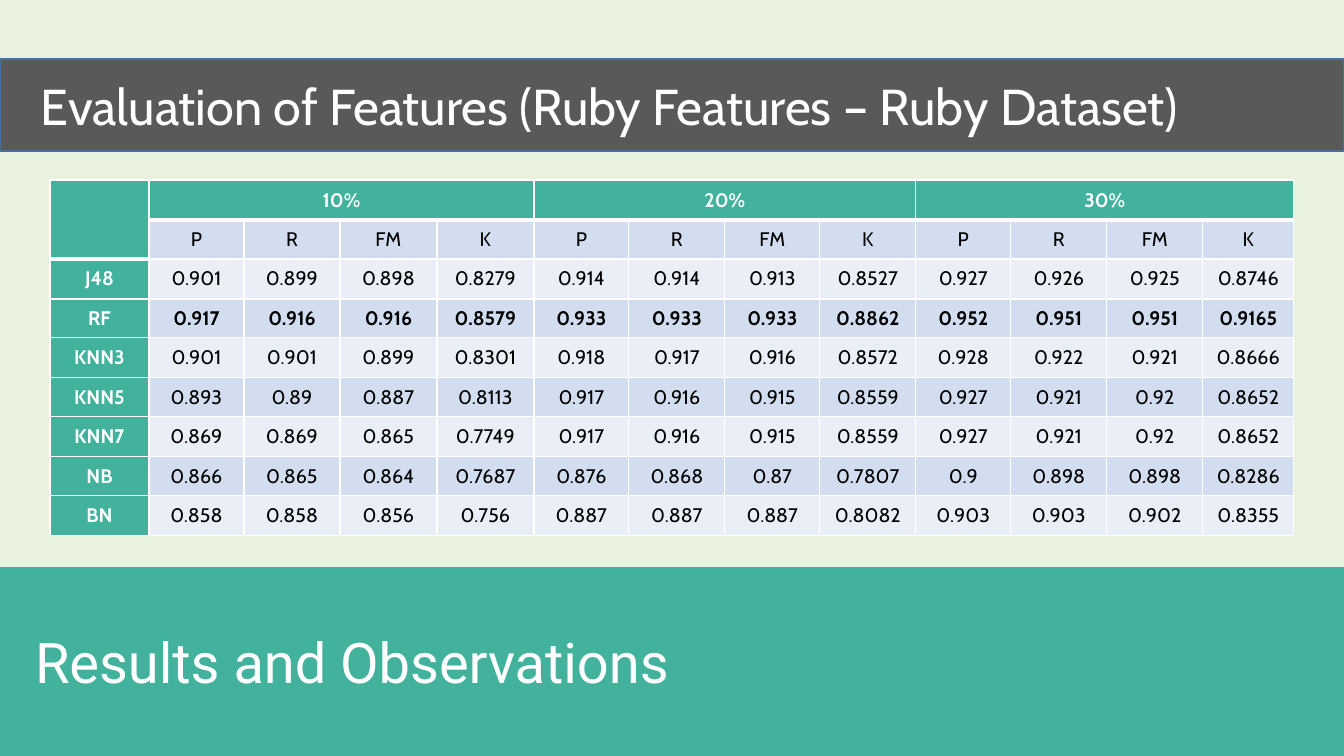
from lxml.etree import SubElement
from pptx import Presentation
from pptx.dml.color import RGBColor
from pptx.enum.shapes import MSO_SHAPE
from pptx.enum.text import MSO_ANCHOR, MSO_AUTO_SIZE, PP_ALIGN
from pptx.oxml.ns import qn
from pptx.util import Emu, Pt

TEAL, WHITE, BLACK = "42B29D", "FFFFFF", "000000"
BANDS = ("EAEFF7", "D2DEEF")
SHARES = ("10%", "20%", "30%")
MEASURES = ("P", "R", "FM", "K")
BEST = "RF"
RESULTS = """
J48 0.901 0.899 0.898 0.8279 0.914 0.914 0.913 0.8527 0.927 0.926 0.925 0.8746
RF 0.917 0.916 0.916 0.8579 0.933 0.933 0.933 0.8862 0.952 0.951 0.951 0.9165
KNN3 0.901 0.901 0.899 0.8301 0.918 0.917 0.916 0.8572 0.928 0.922 0.921 0.8666
KNN5 0.893 0.89 0.887 0.8113 0.917 0.916 0.915 0.8559 0.927 0.921 0.92 0.8652
KNN7 0.869 0.869 0.865 0.7749 0.917 0.916 0.915 0.8559 0.927 0.921 0.92 0.8652
NB 0.866 0.865 0.864 0.7687 0.876 0.868 0.87 0.7807 0.9 0.898 0.898 0.8286
BN 0.858 0.858 0.856 0.756 0.887 0.887 0.887 0.8082 0.903 0.903 0.902 0.8355
"""
COLUMN_WIDTHS = (99, 95, 96, 97, 97, 95, 96, 95, 96, 95, 96, 96, 91)


def px(count):
    return Emu(round(count * 914400 / 100.8))


def color(code):
    return RGBColor.from_string(code)


class ResultsSlide:
    heading_font = "Cabin"
    footer_font = "Roboto"

    def __init__(self, deck):
        self.page = deck.slides.add_slide(deck.slide_layouts[5])

    def background(self, fill):
        self.page.background.fill.solid()
        self.page.background.fill.fore_color.rgb = color(fill)

    def style_text(self, para, font, size, ink, bold=False):
        for span in para.runs:
            span.font.name = font
            span.font.size = Pt(size)
            span.font.bold = bold
            span.font.color.rgb = color(ink)

    def band(self, box, text, top, height, fill, font, size, indent):
        box.left, box.top = px(0), px(top)
        box.width, box.height = px(1344), px(height)
        box.fill.solid()
        box.fill.fore_color.rgb = color(fill)
        frame = box.text_frame
        frame.text = text
        frame.word_wrap = True
        frame.auto_size = MSO_AUTO_SIZE.NONE
        frame.vertical_anchor = MSO_ANCHOR.MIDDLE
        frame.margin_left = px(indent)
        frame.paragraphs[0].alignment = PP_ALIGN.LEFT
        self.style_text(frame.paragraphs[0], font, size, WHITE)

    def title(self, text):
        box = self.page.shapes.title
        self.band(box, text, 59, 92, "595959", self.heading_font, 36, 41)
        box.line.color.rgb = color("43739E")
        box.line.width = Pt(1)

    def footer(self, text):
        box = self.page.shapes.add_shape(MSO_SHAPE.RECTANGLE, 0, 0, px(1344), px(189))
        box.shadow.inherit = False
        box.line.fill.background()
        self.band(box, text, 567, 189, TEAL, self.footer_font, 40, 35)

    def borders(self, cell, **widths):
        properties = cell._tc.get_or_add_tcPr()
        for position, side in enumerate("LRTB"):
            line = SubElement(properties, qn(f"a:ln{side}"), w=str(Pt(widths.get(side, 1))))
            fill = SubElement(line, qn("a:solidFill"))
            SubElement(fill, qn("a:srgbClr"), val=WHITE)
            properties.insert(position, line)

    def cell(self, cell, text, fill, ink, bold, space_after):
        cell.text = text
        cell.fill.solid()
        cell.fill.fore_color.rgb = color(fill)
        cell.vertical_anchor = MSO_ANCHOR.MIDDLE
        cell.margin_left = cell.margin_right = px(7)
        cell.margin_top = cell.margin_bottom = 0
        para = cell.text_frame.paragraphs[0]
        para.alignment = PP_ALIGN.CENTER
        if space_after:
            para.space_after = Pt(space_after)
        self.style_text(para, self.heading_font, 14, ink, bold)

    def table(self, rows, left, top):
        last = len(COLUMN_WIDTHS) - 1
        heights = [40 - row % 2 for row in range(len(rows))]
        grid = self.page.shapes.add_table(
            len(rows), len(COLUMN_WIDTHS), px(left), px(top),
            px(sum(COLUMN_WIDTHS)), px(sum(heights))).table
        for column, width in zip(grid.columns, COLUMN_WIDTHS):
            column.width = px(width)
        for index, (values, height) in enumerate(zip(rows, heights)):
            grid.rows[index].height = px(height)
            for column, text in enumerate(values):
                cell = grid.cell(index, column)
                header = index == 0 or column == 0
                self.cell(cell, text,
                          TEAL if header else BANDS[index % 2],
                          WHITE if header else BLACK,
                          header or values[0] == BEST,
                          6 if column == last or (index == 0 and text == SHARES[-1]) else 0)
                first_body_row = 1 if column else 2
                self.borders(cell,
                             T=3 if index == first_body_row else 1,
                             B=3 if index < first_body_row else 1)
        grid.cell(0, 0).merge(grid.cell(1, 0))
        for start in range(1, last, len(MEASURES)):
            grid.cell(0, start).merge(grid.cell(0, start + len(MEASURES) - 1))


def main():
    deck = Presentation()
    deck.slide_width, deck.slide_height = px(1344), px(756)
    slide = ResultsSlide(deck)
    slide.background("E9F1DF")
    slide.footer("Results and Observations")
    slide.title("Evaluation of Features (Ruby Features – Ruby Dataset)")
    share_row = [""]
    for share in SHARES:
        share_row += [share] + [""] * (len(MEASURES) - 1)
    measure_row = ["", *MEASURES * len(SHARES)]
    result_rows = [line.split() for line in RESULTS.strip().splitlines()]
    slide.table([share_row, measure_row, *result_rows], 50, 180)
    deck.save("out.pptx")


if __name__ == "__main__":
    main()
